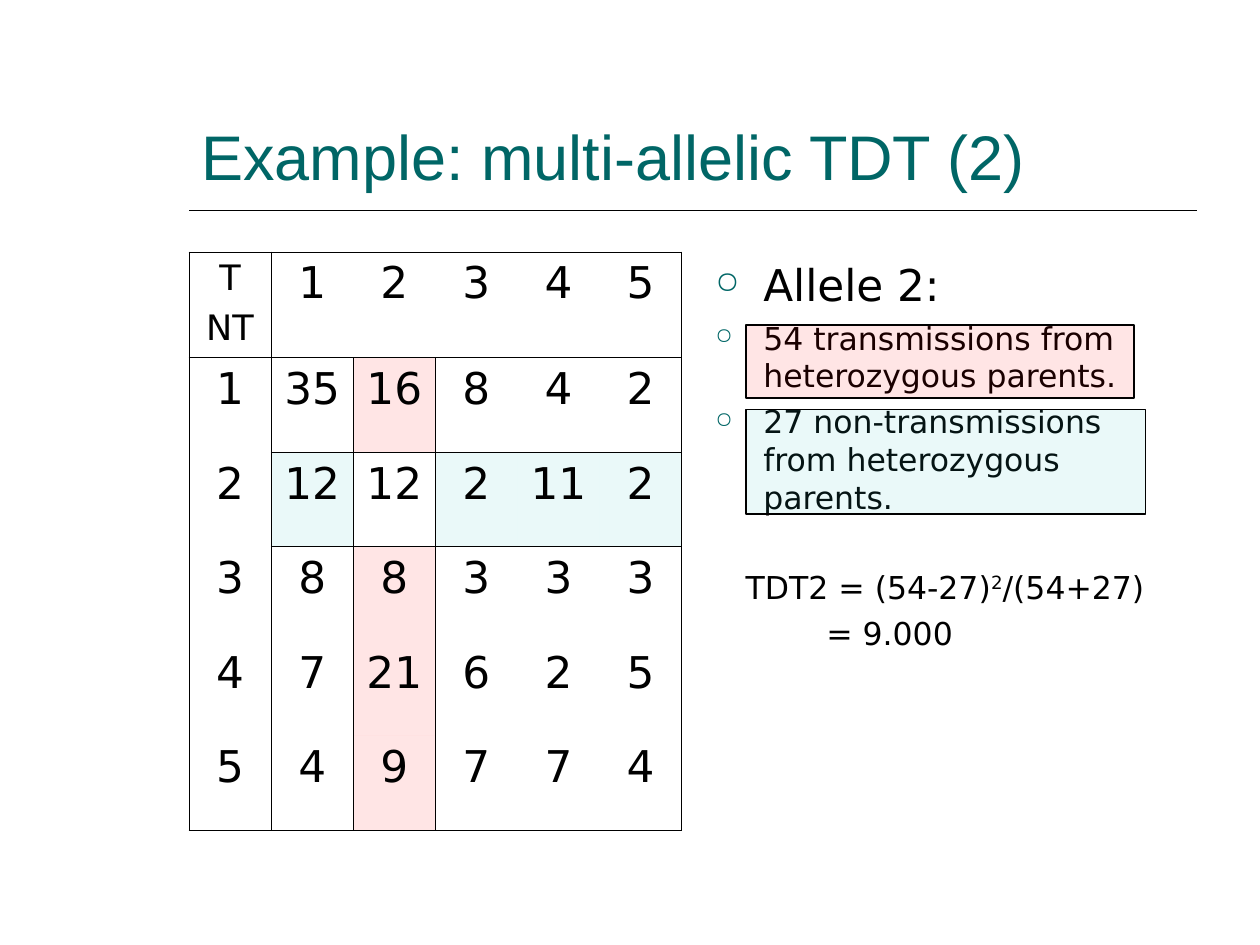
from lxml import etree
from pptx import Presentation
from pptx.dml.color import RGBColor
from pptx.enum.shapes import MSO_CONNECTOR, MSO_SHAPE
from pptx.enum.text import MSO_ANCHOR, PP_ALIGN
from pptx.oxml.ns import qn
from pptx.util import Inches, Pt

CENTER = PP_ALIGN.CENTER
BOTTOM = MSO_ANCHOR.BOTTOM
RECTANGLE = MSO_SHAPE.RECTANGLE
STRAIGHT = MSO_CONNECTOR.STRAIGHT

COLORS = {
    "teal": "006666",
    "black": "000000",
    "transmitted": "FF0000",
    "untransmitted": "33CCCC",
}
HEADING_FONT = "Arial"
BODY_FONT = "DejaVu Sans"

COUNTS = [
    ["T\nNT", "1", "2", "3", "4", "5"],
    ["1", "35", "16", "8", "4", "2"],
    ["2", "12", "12", "2", "11", "2"],
    ["3", "8", "8", "3", "3", "3"],
    ["4", "7", "21", "6", "2", "5"],
    ["5", "4", "9", "7", "7", "4"],
]
ALLELE = 2
LAST = len(COUNTS) - 1
# Outlined blocks of cells as (first, last) rows and columns
BANDS = [(1, 1), (2, 2), (3, LAST)]
BLOCKS = [((0, 0), (0, 0)), ((0, 0), (1, LAST)), ((1, LAST), (0, 0))]
BLOCKS += [(rows, columns) for rows in BANDS for columns in BANDS]


def rgb(name):
    return RGBColor.from_string(COLORS[name])


def style(para, size, before=0, font=BODY_FONT, color="black"):
    para.font.size = Pt(size)
    para.font.name = font
    para.font.color.rgb = rgb(color)
    para.space_before = Pt(before)


def tint(fill, color):
    """Fill with a colour at 10% opacity."""
    fill.solid()
    fill.fore_color.rgb = rgb(color)
    node = fill._xPr.find(qn("a:solidFill"))[0]
    etree.SubElement(node, qn("a:alpha"), val="10000")


def indent(para, left, first=0.0):
    properties = para._p.get_or_add_pPr()
    properties.set("marL", str(Inches(left)))
    properties.set("indent", str(Inches(first)))


def add_bullet(para):
    properties = para._p.get_or_add_pPr()
    color = etree.SubElement(properties, qn("a:buClr"))
    etree.SubElement(color, qn("a:srgbClr"), val=COLORS["teal"])
    etree.SubElement(properties, qn("a:buSzPct"), val="70000")
    etree.SubElement(properties, qn("a:buChar"), char="○")


def add_text_frame(page, left, top, width, height):
    box = page.shapes.add_textbox(Inches(left), Inches(top), Inches(width), Inches(height))
    box.text_frame.word_wrap = True
    return box.text_frame


def add_title(page):
    frame = add_text_frame(page, 1.5, 0.33, 8, 1.25)
    frame.vertical_anchor = BOTTOM
    para = frame.paragraphs[0]
    para.text = "Example: multi-allelic TDT (2)"
    style(para, 36, font=HEADING_FONT, color="teal")

    rule = page.shapes.add_connector(STRAIGHT, Inches(1.5), Inches(1.67), Inches(9.5), Inches(1.67))
    rule.line.color.rgb = rgb("black")
    rule.line.width = Pt(1)
    etree.SubElement(rule._element.spPr, qn("a:effectLst"))


def add_notes_on_allele(page):
    frame = add_text_frame(page, 5.58, 2, 3.92, 4.5)
    bullets = [
        ("Allele 2:", 25, 6.2),
        ("54 transmissions from heterozygous parents.", 18, 4.5),
        ("27 non-transmissions from heterozygous parents.", 18, 4.5),
    ]
    for index, (text, size, before) in enumerate(bullets):
        para = frame.add_paragraph() if index else frame.paragraphs[0]
        para.text = text
        style(para, size, before)
        indent(para, 0.38, -0.38)
        add_bullet(para)

    formula = frame.add_paragraph()
    for text in ("TDT2 = (54-27)", "2", "/(54+27) "):
        span = formula.add_run()
        span.text = text
        if text == "2":
            span._r.get_or_add_rPr().set("baseline", "30000")
    style(formula, 18, 30)
    formula.alignment = CENTER
    indent(formula, 0.38, -0.38)

    result = frame.add_paragraph()
    result.text = "= 9.000"
    style(result, 18, 4.5)
    indent(result, 0.88)


def set_borders(cell, row, column):
    """Line the cell's edges that lie on the outline of its block."""
    rows, columns = next(
        (r, c) for r, c in BLOCKS
        if r[0] <= row <= r[1] and c[0] <= column <= c[1]
    )
    edges = {
        "L": column == columns[0],
        "R": column == columns[1],
        "T": row == rows[0],
        "B": row == rows[1],
    }
    properties = cell._tc.get_or_add_tcPr()
    for side, lined in edges.items():
        line = etree.SubElement(properties, qn(f"a:ln{side}"), w=str(Pt(0.45)))
        if lined:
            fill = etree.SubElement(line, qn("a:solidFill"))
            etree.SubElement(fill, qn("a:srgbClr"), val=COLORS["black"])
        else:
            etree.SubElement(line, qn("a:noFill"))


def fill_cell(cell, row, column):
    cell.text = COUNTS[row][column]
    size, before = (20, 5) if row == column == 0 else (25, 6.2)
    for para in cell.text_frame.paragraphs:
        style(para, size, before)
        para.alignment = CENTER
    set_borders(cell, row, column)
    if column == ALLELE and row not in (0, ALLELE):
        tint(cell.fill, "transmitted")
    elif row == ALLELE and column not in (0, ALLELE):
        tint(cell.fill, "untransmitted")
    else:
        cell.fill.background()


def add_count_table(page):
    size = len(COUNTS)
    table = page.shapes.add_table(
        size, size, Inches(1.5), Inches(2), Inches(3.91), Inches(4.58)
    ).table
    table.first_row = False
    table.horz_banding = False
    for index in range(size):
        table.columns[index].width = Inches(3.91 / size)
        table.rows[index].height = Inches(0.75 if index else 0.84)
    for row in range(size):
        for column in range(size):
            fill_cell(table.cell(row, column), row, column)


def add_highlight(page, top, width, height, color):
    box = page.shapes.add_shape(RECTANGLE, Inches(5.92), Inches(top), Inches(width), Inches(height))
    box.shadow.inherit = False
    tint(box.fill, color)
    box.line.color.rgb = rgb("black")
    box.line.width = Pt(0.75)


def main():
    deck = Presentation()
    deck.slide_width, deck.slide_height = Inches(10), Inches(7.5)
    page = deck.slides.add_slide(deck.slide_layouts[6])
    add_title(page)
    add_notes_on_allele(page)
    add_count_table(page)
    add_highlight(page, 2.58, 3.08, 0.58, "transmitted")
    add_highlight(page, 3.25, 3.17, 0.83, "untransmitted")
    deck.save("out.pptx")


if __name__ == "__main__":
    main()
